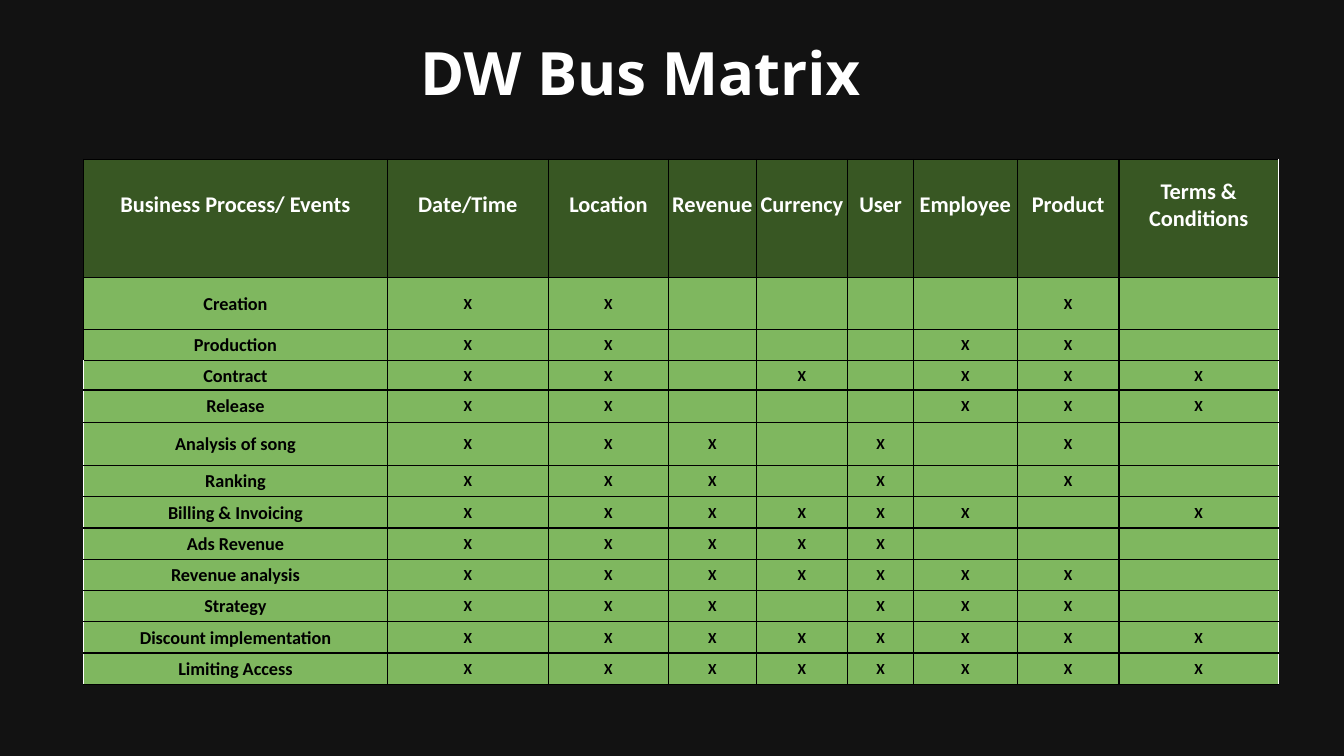
"""Builds the DW Bus Matrix slide."""
from typing import NamedTuple

from lxml import etree
from pptx import Presentation
from pptx.dml.color import RGBColor
from pptx.enum.text import MSO_ANCHOR, MSO_AUTO_SIZE, PP_ALIGN
from pptx.oxml.ns import qn
from pptx.util import Inches, Pt

CENTER = PP_ALIGN.CENTER
MIDDLE = MSO_ANCHOR.MIDDLE
NO_AUTOFIT = MSO_AUTO_SIZE.NONE

BACKGROUND = RGBColor(0x12, 0x12, 0x12)
HEADER_GREEN = RGBColor(0x38, 0x57, 0x23)
BODY_GREEN = RGBColor(0x7F, 0xB7, 0x5F)
WHITE = RGBColor(0xFF, 0xFF, 0xFF)
BLACK = RGBColor(0x00, 0x00, 0x00)

HEADER_HEIGHT = 1.17
MARK_SIZE = 11
FIRST_WHITE_EDGE = 3


class Column(NamedTuple):
    name: str
    width: float


class Process(NamedTuple):
    name: str
    marks: str
    height: float = 0.31


COLUMNS = [
    Column("Business Process/ Events", 3.01),
    Column("Date/Time", 1.6),
    Column("Location", 1.19),
    Column("Revenue", 0.87),
    Column("Currency", 0.91),
    Column("User", 0.65),
    Column("Employee", 1.03),
    Column("Product", 1.01),
    Column("Terms & Conditions", 1.58),
]
PROCESSES = [
    Process("Creation", "XX----X-", 0.52),
    Process("Production", "XX---XX-"),
    Process("Contract", "XX-X-XXX", 0.29),
    Process("Release", "XX---XXX", 0.32),
    Process("Analysis of song", "XXX-X-X-", 0.43),
    Process("Ranking", "XXX-X-X-"),
    Process("Billing & Invoicing", "XXXXXX-X"),
    Process("Ads Revenue", "XXXXX---"),
    Process("Revenue analysis", "XXXXXXX-"),
    Process("Strategy", "XXX-XXX-"),
    Process("Discount implementation", "XXXXXXXX"),
    Process("Limiting Access", "XXXXXXXX"),
]


def write(tf, text: str, *, size: float, color: RGBColor, font: str = "Calibri") -> None:
    p = tf.paragraphs[0]
    p.alignment = CENTER
    if not text:
        etree.SubElement(p._p, qn("a:endParaRPr"), sz=str(size * 100))
        return
    r = p.add_run()
    r.text = text
    r.font.name = font
    r.font.size = Pt(size)
    r.font.bold = True
    r.font.color.rgb = color


def add_border(cell, side: str, color: RGBColor) -> None:
    ln = etree.SubElement(cell._tc.get_or_add_tcPr(), qn(f"a:ln{side}"), w=str(Pt(1)))
    fill = etree.SubElement(ln, qn("a:solidFill"))
    etree.SubElement(fill, qn("a:srgbClr"), val=str(color))


def format_cell(cell, fill: RGBColor, left: RGBColor, right: RGBColor, bottom: float) -> None:
    for side, color in (("L", left), ("R", right), ("T", BLACK), ("B", BLACK)):
        add_border(cell, side, color)
    cell.fill.solid()
    cell.fill.fore_color.rgb = fill
    cell.vertical_anchor = MIDDLE
    cell.margin_left = cell.margin_right = cell.margin_top = Inches(0.01)
    cell.margin_bottom = Inches(bottom)


def add_title(s) -> None:
    sp = s.shapes.title
    sp.left, sp.top = Inches(0), Inches(0.22)
    sp.width, sp.height = Inches(13.13), Inches(0.99)
    tf = sp.text_frame
    tf.auto_size = NO_AUTOFIT
    tf.word_wrap = True
    tf.vertical_anchor = MIDDLE
    tf.margin_left = tf.margin_top = tf.margin_bottom = Inches(0.13)
    tf.margin_right = Inches(0.56)
    write(tf, "DW Bus Matrix", size=42.7, color=WHITE, font="Noto Sans")


def add_matrix(s) -> None:
    heights = [HEADER_HEIGHT] + [process.height for process in PROCESSES]
    widths = [column.width for column in COLUMNS]
    frame = s.shapes.add_table(
        len(heights), len(widths), Inches(0.83), Inches(1.58),
        Inches(sum(widths)), Inches(sum(heights)),
    )
    table = frame.table
    for column, width in zip(table.columns, widths):
        column.width = Inches(width)
    for row, height in zip(table.rows, heights):
        row.height = Inches(height)

    rows = [[column.name for column in COLUMNS]]
    rows += [[process.name, *process.marks.replace("-", " ")] for process in PROCESSES]
    for i, texts in enumerate(rows):
        for j, text in enumerate(texts):
            cell = table.cell(i, j)
            header = i == 0
            left = WHITE if j == 0 and i >= FIRST_WHITE_EDGE else BLACK
            right = WHITE if j == len(texts) - 1 else BLACK
            format_cell(cell, HEADER_GREEN if header else BODY_GREEN, left, right,
                        0.27 if header else 0)
            size = 16 if header else 13 if j == 0 else MARK_SIZE
            write(cell.text_frame, text.strip(), size=size, color=WHITE if header else BLACK)


def main() -> None:
    prs = Presentation()
    prs.slide_width, prs.slide_height = Inches(13.33), Inches(7.5)
    s = prs.slides.add_slide(prs.slide_layouts[5])
    s.background.fill.solid()
    s.background.fill.fore_color.rgb = BACKGROUND
    add_title(s)
    add_matrix(s)
    prs.save("out.pptx")


if __name__ == "__main__":
    main()
